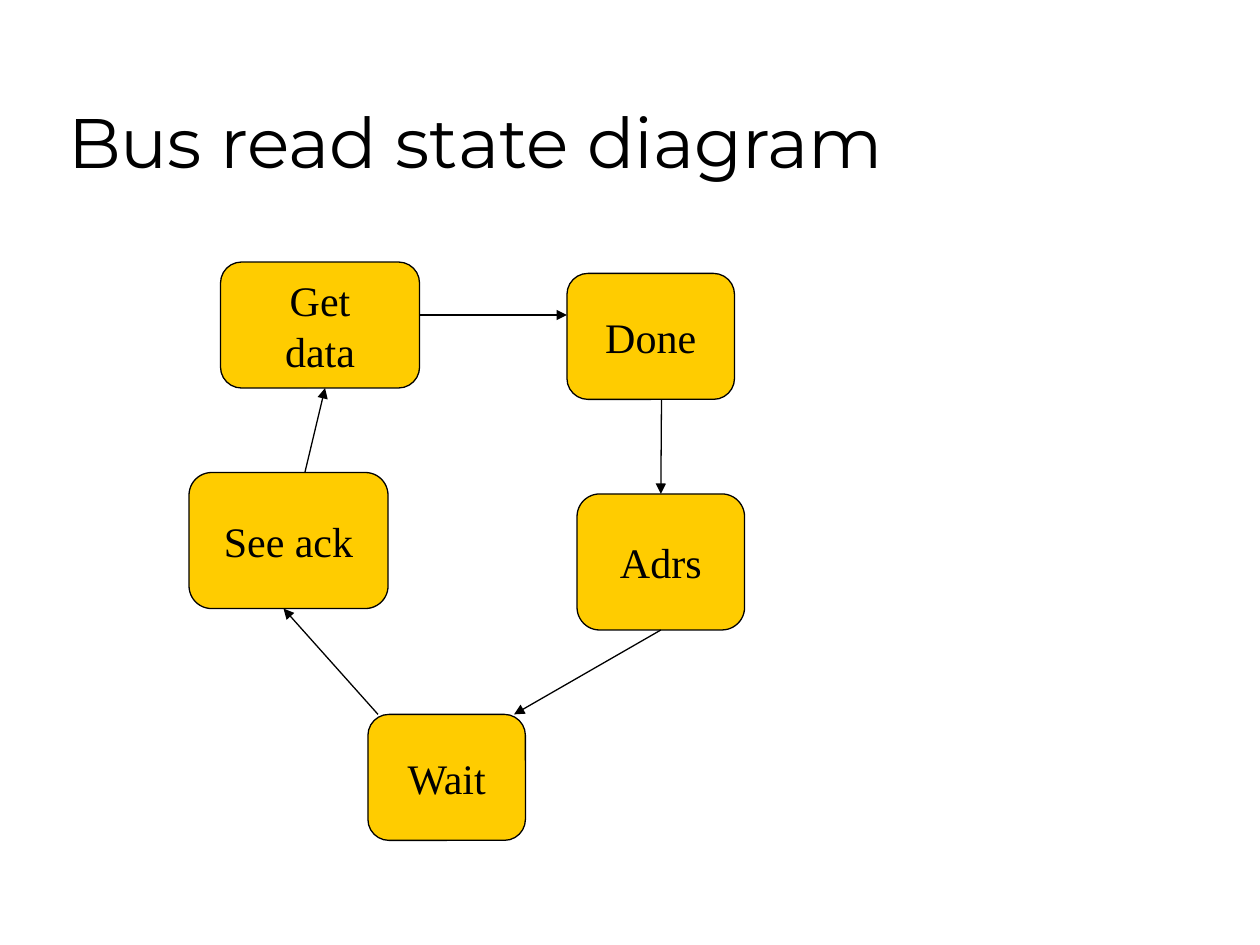
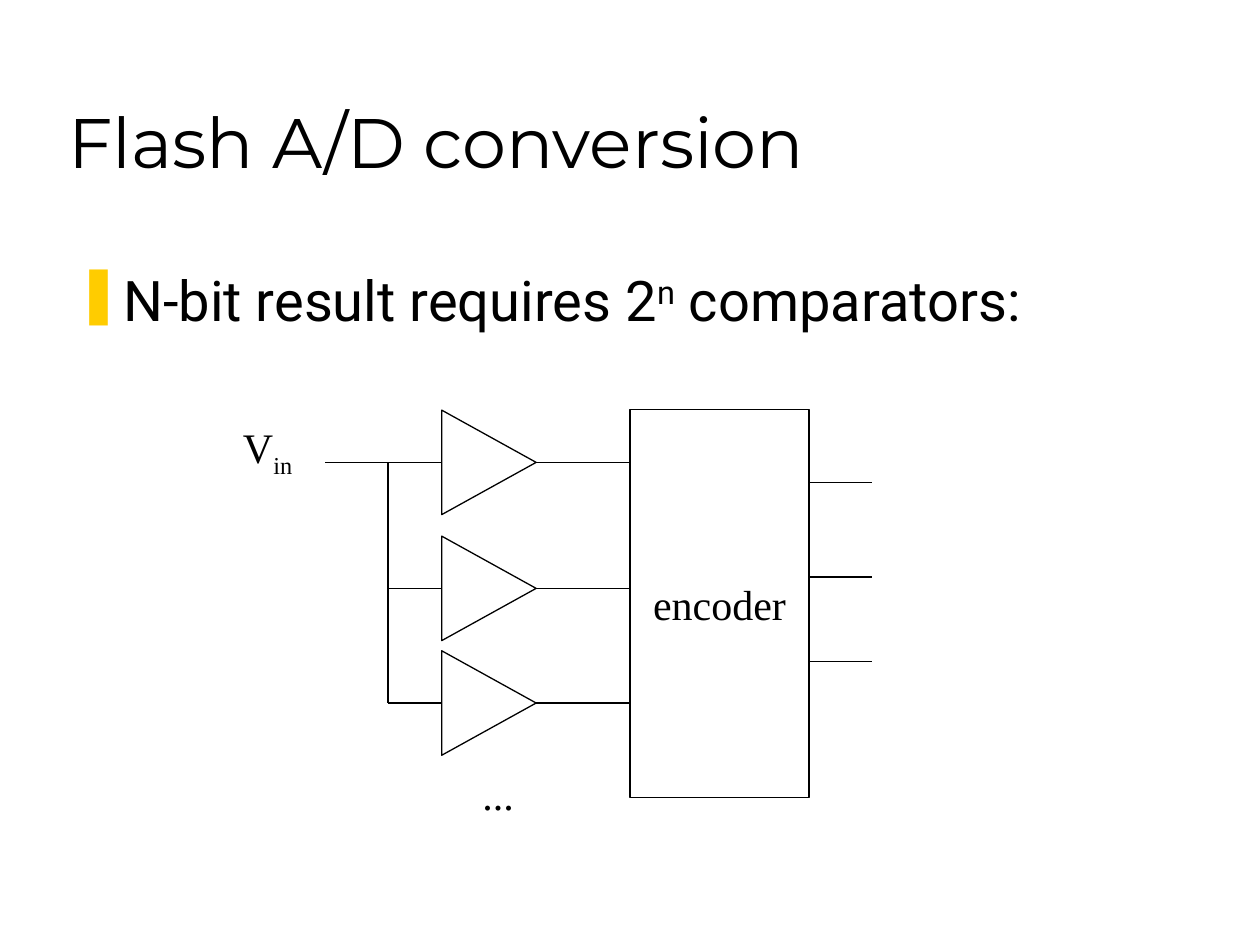
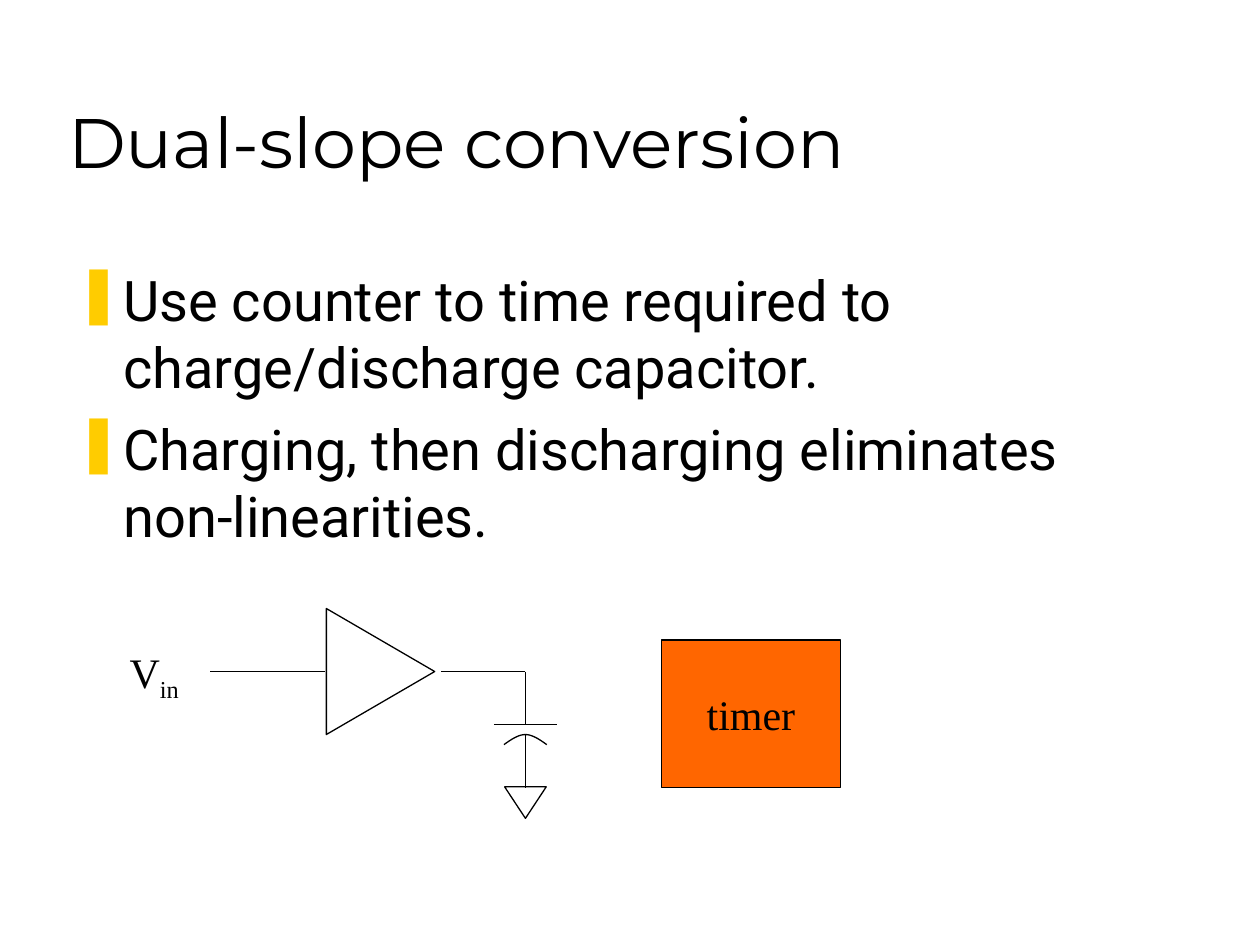
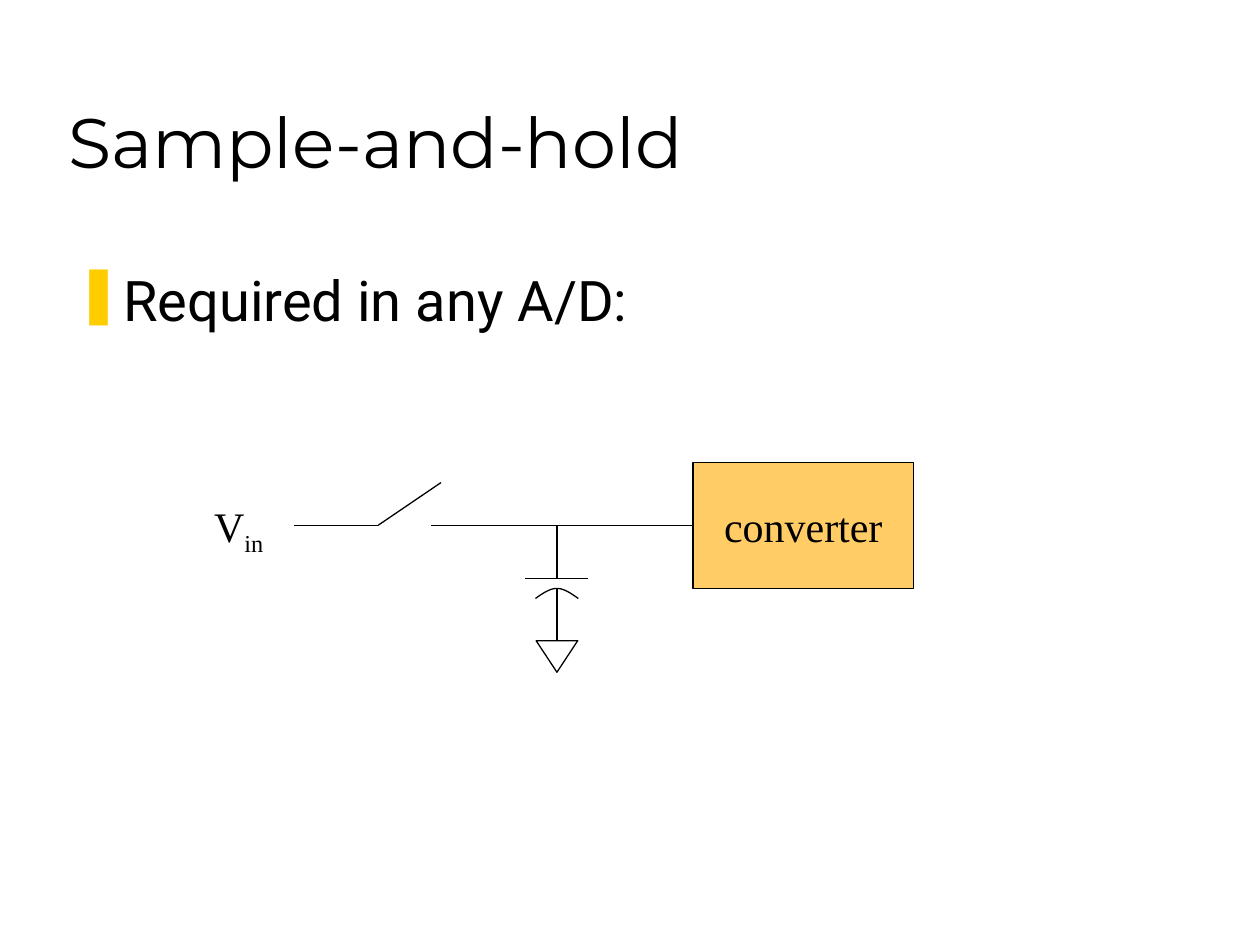
from lxml.etree import SubElement
from pptx import Presentation
from pptx.dml.color import RGBColor
from pptx.enum.shapes import MSO_CONNECTOR, MSO_SHAPE
from pptx.enum.text import MSO_ANCHOR as Anchor, MSO_AUTO_SIZE as AutoSize, PP_ALIGN as Align
from pptx.oxml.ns import qn
from pptx.util import Inches, Pt

# Shared look
rgb = RGBColor.from_string
BLACK, WHITE, GOLD = "000000", "FFFFFF", "FFCC00"
ORANGE, SAND = "FF6600", "FFCC66"
LINE_WIDTH = Pt(0.75)
TITLE_FONT = {"name": "Montserrat", "size": Pt(40)}
BODY_FONT = {"name": "Roboto", "size": Pt(32)}
LABEL_FONT = {"name": "Times New Roman", "size": Pt(24)}
TITLE_FRAME = {"vertical_anchor": Anchor.BOTTOM, "word_wrap": True, "auto_size": AutoSize.NONE}
BODY_FRAME = {"vertical_anchor": Anchor.TOP, "word_wrap": True}
BLOCK_FRAME = {"vertical_anchor": Anchor.MIDDLE, "word_wrap": False}
LABEL_FRAME = {"vertical_anchor": Anchor.TOP, "word_wrap": False,
               "auto_size": AutoSize.SHAPE_TO_FIT_TEXT}


def write(frame, lines, font, frame_format, align=Align.LEFT):
    """Fill a frame; each line is a list of (text, baseline shift in percent)."""
    for name, value in frame_format.items():
        setattr(frame, name, value)
    for number, line in enumerate(lines):
        para = frame.add_paragraph() if number else frame.paragraphs[0]
        para.alignment = align
        for text, shift in line:
            span = para.add_run()
            span.text = text
            for name, value in font.items():
                setattr(span.font, name, value)
            span.font.color.rgb = rgb(BLACK)
            if shift:
                span._r.get_or_add_rPr().set("baseline", str(shift * 1000))


def add_wire(page, x1, y1, x2, y2, arrow=False):
    wire = page.shapes.add_connector(
        MSO_CONNECTOR.STRAIGHT, Inches(x1), Inches(y1), Inches(x2), Inches(y2))
    wire.line.color.rgb = rgb(BLACK)
    wire.line.width = LINE_WIDTH
    if arrow:
        SubElement(wire.line._get_or_add_ln(), qn("a:tailEnd"), type="triangle")
    SubElement(wire._element.spPr, qn("a:effectLst"))
    return wire


deck = Presentation()
deck.slide_width, deck.slide_height = Inches(10), Inches(7.5)

# Titles and bullets: title, body height, body lines
outlines = [
    ("Bus read state diagram", 0, []),
    ("Flash A/D conversion", 0.77,
     [[("N-bit result requires 2", 0), ("n", 30), (" comparators:", 0)]]),
    ("Dual-slope conversion", 4.56,
     [[("Use counter to time required to charge/discharge capacitor.", 0)],
      [("Charging, then discharging eliminates non-linearities.", 0)]]),
    ("Sample-and-hold", 4.56, [[("Required in any A/D:", 0)]]),
]
pages = []
for heading, body_height, lines in outlines:
    page = deck.slides.add_slide(deck.slide_layouts[5])
    pages.append(page)
    title = page.shapes.title
    title.left, title.top = Inches(0.44), Inches(0.25)
    title.width, title.height = Inches(8.5), Inches(1.25)
    write(title.text_frame, [[(heading, 0)]], TITLE_FONT, TITLE_FRAME)
    if not lines:
        continue
    body = page.shapes.add_textbox(Inches(0.5), Inches(2.06), Inches(8.94), Inches(body_height))
    write(body.text_frame, lines, BODY_FONT, BODY_FRAME)
    for number, para in enumerate(body.text_frame.paragraphs):
        para.space_before = Pt(8 if number else 0)
        marks = para._p.get_or_add_pPr()
        marks.set("marL", str(Inches(0.38)))
        marks.set("indent", str(-Inches(0.38)))
        SubElement(SubElement(marks, qn("a:buClr")), qn("a:srgbClr"), val=GOLD)
        SubElement(marks, qn("a:buChar"), char="❚")
bus, flash, slope, hold = pages

# Labelled blocks: states, encoder, timer, converter
ROUND, RECT = MSO_SHAPE.ROUNDED_RECTANGLE, MSO_SHAPE.RECTANGLE
blocks = {}
for page, preset, left, top, width, height, fill, label in [
    (bus, ROUND, 1.75, 2.08, 1.58, 1, GOLD, "Get\ndata"),
    (bus, ROUND, 4.5, 2.17, 1.33, 1, GOLD, "Done"),
    (bus, ROUND, 4.58, 3.92, 1.33, 1.08, GOLD, "Adrs"),
    (bus, ROUND, 2.92, 5.67, 1.25, 1, GOLD, "Wait"),
    (bus, ROUND, 1.5, 3.75, 1.58, 1.08, GOLD, "See ack"),
    (flash, RECT, 5, 3.25, 1.42, 3.08, WHITE, "encoder"),
    (slope, RECT, 5.25, 5.08, 1.42, 1.17, ORANGE, "timer"),
    (hold, RECT, 5.5, 3.67, 1.75, 1, SAND, "converter"),
]:
    block = page.shapes.add_shape(
        preset, Inches(left), Inches(top), Inches(width), Inches(height))
    block.shadow.inherit = False
    block.fill.solid()
    block.fill.fore_color.rgb = rgb(fill)
    block.line.color.rgb = rgb(BLACK)
    block.line.width = LINE_WIDTH
    lines = [[(word, 0)] for word in label.split("\n")]
    write(block.text_frame, lines, LABEL_FONT, BLOCK_FRAME, Align.CENTER)
    blocks[label] = block

# Triangles: amplifiers point right, grounds point down
comparator_rows = [3.67, 4.67, 5.58]
capacitors = [(slope, 4.17, 5.33), (hold, 4.42, 4.17)]
triangles = [(flash, 3.88, row, 0.83, 0.75, 90) for row in comparator_rows]
triangles.append((slope, 3.02, 5.33, 1, 0.86, 90))
triangles += [(page, x, top + 1.04, 0.33, 0.25, 180) for page, x, top in capacitors]
for page, x, y, width, height, turn in triangles:
    triangle = page.shapes.add_shape(
        MSO_SHAPE.ISOSCELES_TRIANGLE, Inches(x - width / 2), Inches(y - height / 2),
        Inches(width), Inches(height))
    triangle.rotation = turn
    triangle.shadow.inherit = False
    triangle.fill.solid()
    triangle.fill.fore_color.rgb = rgb(WHITE)
    triangle.line.color.rgb = rgb(BLACK)
    triangle.line.width = LINE_WIDTH

# State transitions
add_wire(bus, 3.33, 2.5, 4.5, 2.5, arrow=True)
done_to_adrs = add_wire(bus, 5.25, 3.17, 5.25, 3.92, arrow=True)
done_to_adrs.end_connect(blocks["Adrs"], 0)
adrs_to_wait = add_wire(bus, 5.25, 5, 4.08, 5.67, arrow=True)
adrs_to_wait.begin_connect(blocks["Adrs"], 2)
add_wire(bus, 3, 5.67, 2.25, 4.83, arrow=True)
add_wire(bus, 2.42, 3.75, 2.58, 3.08, arrow=True)

# Flash converter wiring
for row, start in zip(comparator_rows, [2.58, 3.08, 3.08]):
    add_wire(flash, start, row, 3.5, row)
    add_wire(flash, 4.25, row, 5, row)
add_wire(flash, 3.08, comparator_rows[0], 3.08, comparator_rows[-1])
for row in [3.83, 4.58, 5.25]:
    add_wire(flash, 6.42, row, 6.92, row)

# Dual-slope and sample-and-hold wiring
add_wire(slope, 1.67, 5.33, 2.58, 5.33)
add_wire(slope, 3.5, 5.33, 4.17, 5.33)
add_wire(hold, 2.33, 4.17, 3, 4.17)
add_wire(hold, 3, 4.17, 3.5, 3.83)
add_wire(hold, 3.42, 4.17, 4.42, 4.17)
to_converter = add_wire(hold, 4.42, 4.17, 5.5, 4.17)
to_converter.end_connect(blocks["converter"], 1)

# Capacitors: flat plate, curved plate and their leads
STEPS = 10
for page, x, top in capacitors:
    add_wire(page, x, top, x, top + 0.42)
    add_wire(page, x - 0.25, top + 0.42, x + 0.25, top + 0.42)
    add_wire(page, x, top + 0.5, x, top + 0.92)
    curve = []
    for step in range(-STEPS, STEPS + 1):
        reach = abs(step) / STEPS
        drop = 0.08 * (1.5 * reach ** 2 - 0.5 * reach ** 3)
        curve.append((Inches(x + 0.17 * step / STEPS), Inches(top + 0.5 + drop)))
    builder = page.shapes.build_freeform(*curve[0])
    builder.add_line_segments(curve[1:], close=False)
    plate = builder.convert_to_shape()
    plate.shadow.inherit = False
    plate.fill.background()
    plate.line.color.rgb = rgb(BLACK)
    plate.line.width = LINE_WIDTH

# Free labels
INPUT = [("V", 0), ("in", -25)]
for page, left, top, width, height, line in [
    (flash, 1.83, 3.3, 0.59, 0.56, INPUT),
    (slope, 0.93, 5.08, 0.59, 0.56, INPUT),
    (hold, 1.6, 3.92, 0.59, 0.56, INPUT),
    (flash, 3.73, 6.05, 0.45, 0.5, [("...", 0)]),
]:
    box = page.shapes.add_textbox(Inches(left), Inches(top), Inches(width), Inches(height))
    write(box.text_frame, [line], LABEL_FONT, LABEL_FRAME)

deck.save("out.pptx")
